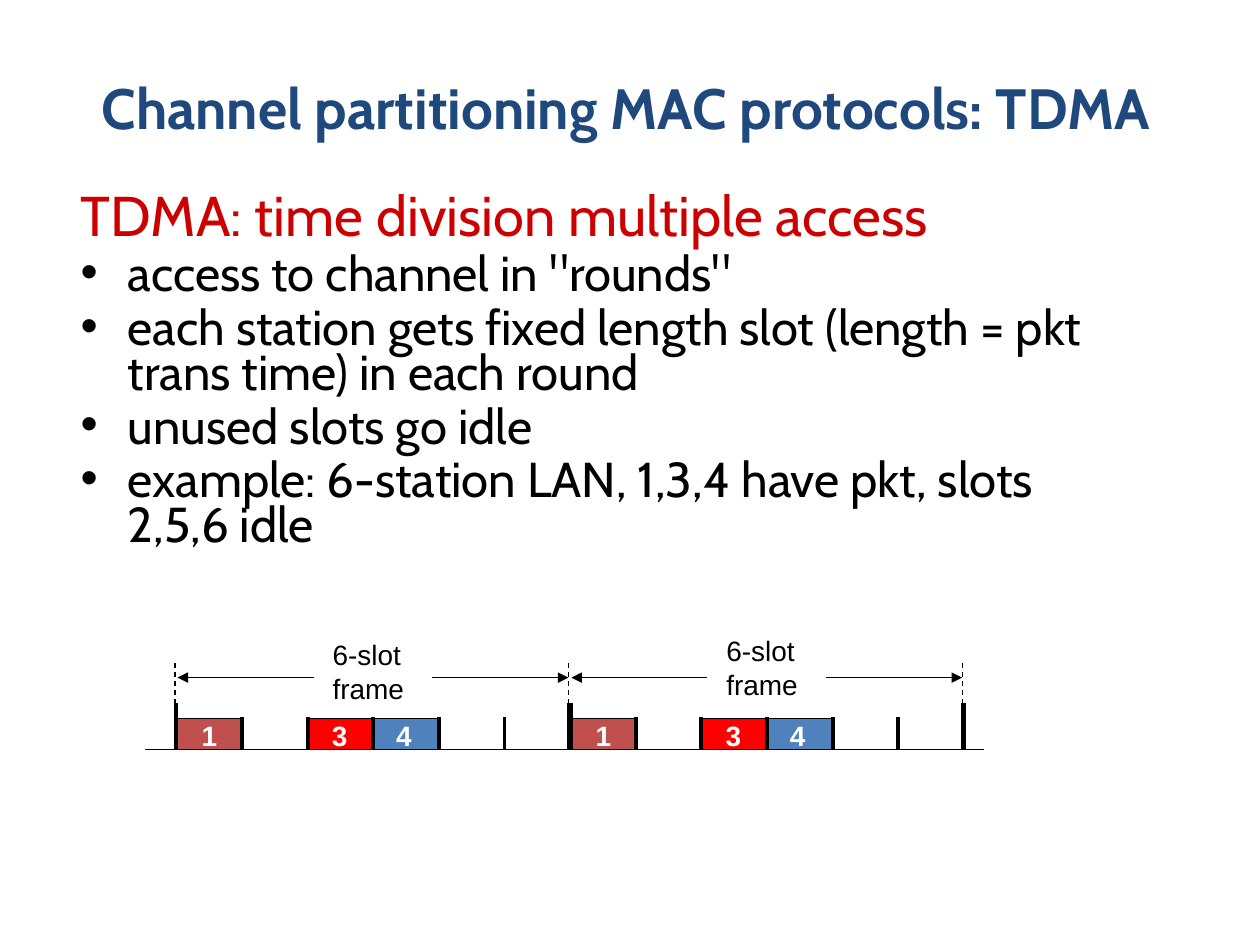
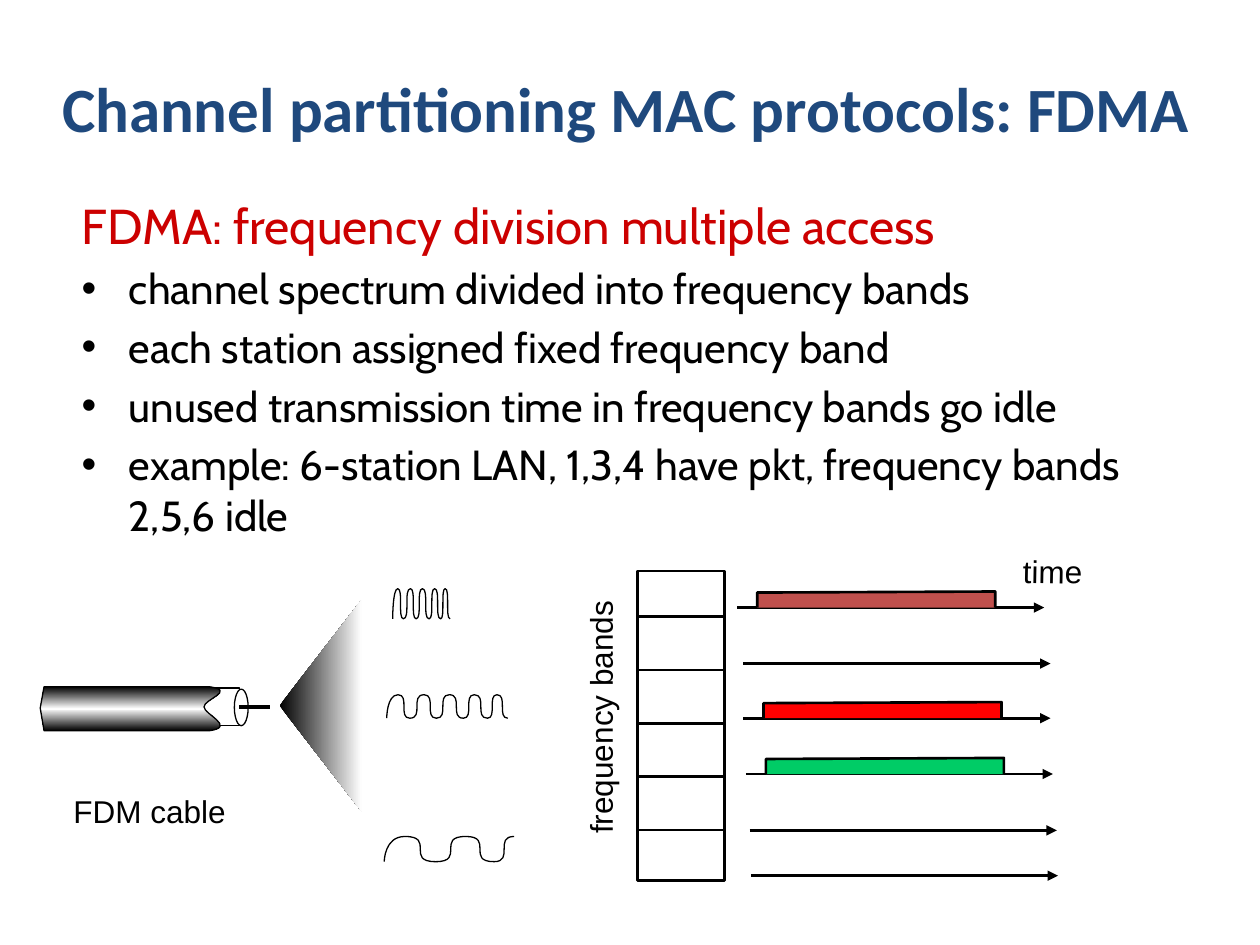
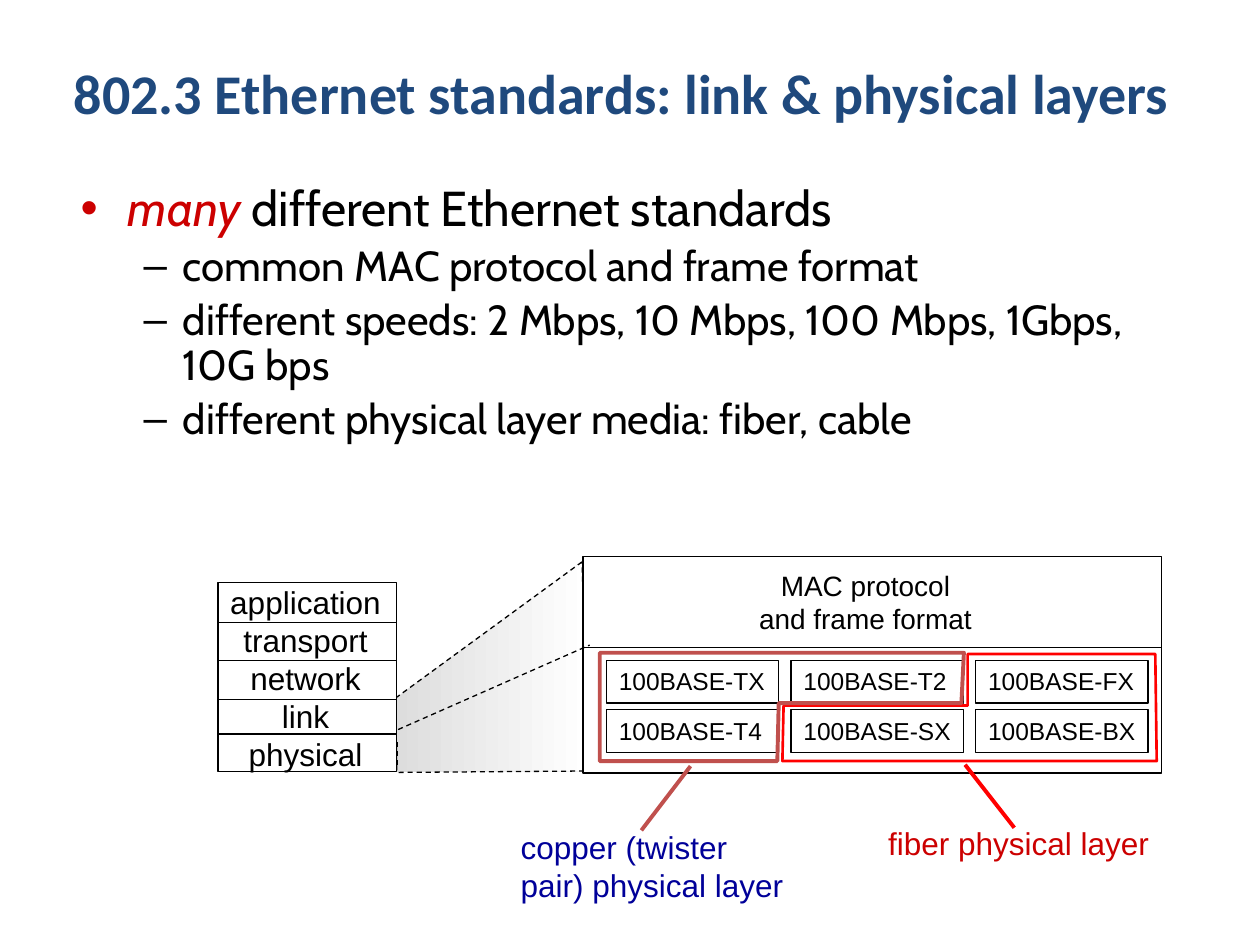
from copy import deepcopy

from lxml import etree
from pptx import Presentation
from pptx.dml.color import RGBColor
from pptx.enum.dml import MSO_LINE
from pptx.enum.shapes import MSO_CONNECTOR, MSO_SHAPE
from pptx.enum.text import MSO_ANCHOR, MSO_AUTO_SIZE, PP_ALIGN
from pptx.oxml.ns import qn
from pptx.util import Pt

STRAIGHT = MSO_CONNECTOR.STRAIGHT
RECTANGLE = MSO_SHAPE.RECTANGLE
OVAL = MSO_SHAPE.OVAL
LEFT = PP_ALIGN.LEFT
CENTER = PP_ALIGN.CENTER
MIDDLE = MSO_ANCHOR.MIDDLE
TOP = MSO_ANCHOR.TOP
FIT = MSO_AUTO_SIZE.SHAPE_TO_FIT_TEXT
FIXED = MSO_AUTO_SIZE.NONE
DASH = MSO_LINE.DASH

BLACK = "000000"
WHITE = "FFFFFF"
NAVY = "1F497D"
CRIMSON = "CC0000"
BRICK = "C0504D"
RED = "FF0000"
BLUE = "4F81BD"
GREEN = "00CC66"
INDIGO = "000099"
GRAY = "DDDDDD"


def style(shape, fill=(), line=BLACK, width=0.75, dash=None, arrow=False, angle=0):
    if hasattr(shape, "fill"):
        if not fill:
            shape.fill.background()
        elif isinstance(fill, str):
            shape.fill.solid()
            shape.fill.fore_color.rgb = RGBColor.from_string(fill)
        else:
            shape.fill.gradient()
            shape.fill.gradient_angle = angle
            stops = shape._element.spPr.find(qn("a:gradFill")).find(qn("a:gsLst"))
            for _ in fill[2:]:
                stops.append(deepcopy(stops[0]))
            for index, stop in enumerate(shape.fill.gradient_stops):
                stop.color.rgb = RGBColor.from_string(fill[index])
                stop.position = index / (len(fill) - 1)
    if line:
        shape.line.color.rgb = RGBColor.from_string(line)
        shape.line.width = Pt(width)
        if dash:
            shape.line.dash_style = dash
        if arrow:
            etree.SubElement(shape.line._get_or_add_ln(), qn("a:tailEnd"), type="triangle")
    else:
        shape.line.fill.background()
    etree.SubElement(shape._element.spPr, qn("a:effectLst"))


def write(box, text, size=16, font="Arial", color=BLACK, bold=False, italic=False,
          align=None, anchor=TOP, wrap=False, fit=FIT, bullet=None, indent=0,
          hang=0, spacing=None, before=None, same_line=False):
    frame = box.text_frame
    frame.word_wrap = wrap
    frame.auto_size = fit
    frame.vertical_anchor = anchor
    for line in text.split("\n"):
        para = frame.paragraphs[-1]
        if para.runs and not same_line:
            para = frame.add_paragraph()
        if not same_line:
            para.alignment = align
            para.line_spacing = spacing
            if before:
                para.space_before = Pt(before)
            if indent:
                properties = para._p.get_or_add_pPr()
                properties.set("marL", str(Pt(indent)))
                properties.set("indent", str(Pt(-hang)))
                if bullet:
                    etree.SubElement(properties, qn("a:buFont"), typeface="Arial")
                    etree.SubElement(properties, qn("a:buChar"), char=bullet)
        span = para.add_run()
        span.text = line
        span.font.size = Pt(size)
        span.font.name = font
        span.font.bold = bold
        span.font.italic = italic
        span.font.color.rgb = RGBColor.from_string(color)


deck = Presentation()
deck.slide_width = Pt(720)
deck.slide_height = Pt(540)

HEADING = dict(color=CRIMSON, indent=27, hang=27)
POINT = dict(bullet="•", indent=27, hang=27)
DETAIL = dict(bullet="–", indent=58.5, hang=22.5, size=24)
TITLE_AREA = (17.7, 16.3, 680, 90)
layouts = [
    ("Channel partitioning MAC protocols: TDMA", 32.4, "Cabin", TITLE_AREA,
     (39, 108.7, 612, 230.4), 0.75, 28, [
         ("TDMA: time division multiple access", HEADING | dict(size=32)),
         ('access to channel in "rounds"', POINT),
         ("each station gets fixed length slot (length = pkt trans time) in each round", POINT),
         ("unused slots go idle", POINT),
         ("example: 6-station LAN, 1,3,4 have pkt, slots 2,5,6 idle", POINT)]),
    ("Channel partitioning MAC protocols: FDMA", 36, "Calibri", TITLE_AREA,
     (39.6, 108, 647.3, 365.8), None, 24, [
         ("FDMA: frequency division multiple access", HEADING | dict(size=28)),
         ("channel spectrum divided into frequency bands", POINT),
         ("each station assigned fixed frequency band", POINT),
         ("unused transmission time in frequency bands go idle", POINT),
         ("example: 6-station LAN, 1,3,4 have pkt, frequency bands 2,5,6 idle", POINT)]),
    ("802.3 Ethernet standards: link & physical layers", 32, "Calibri", (12.2, 7.5, 686.2, 90),
     (39, 101.5, 612, 165.6), 0.9, 28, [
         ("many ", POINT | dict(color=CRIMSON, italic=True)),
         ("different Ethernet standards", dict(same_line=True)),
         ("common MAC protocol and frame format", DETAIL),
         ("different speeds: 2 Mbps, 10 Mbps, 100 Mbps, 1Gbps, 10G bps", DETAIL),
         ("different physical layer media: fiber, cable", DETAIL)]),
]
pages = []
for title, title_size, title_font, title_area, body_area, spacing, body_size, lines in layouts:
    page = deck.slides.add_slide(deck.slide_layouts[6])
    pages.append(page)
    box = page.shapes.add_textbox(*map(Pt, title_area))
    write(box, title, size=title_size, font=title_font, color=NAVY, bold=True,
          align=CENTER, anchor=MIDDLE, wrap=True, fit=FIXED)
    box = page.shapes.add_textbox(*map(Pt, body_area))
    for text, look in lines:
        look = dict(size=body_size) | look
        write(box, text, font="Cabin", wrap=True, fit=FIXED, spacing=spacing,
              before=look["size"] * 0.2, **look)

tdma, fdma, ethernet = pages

SLOT = 37.5
FRAME = 6 * SLOT
TIMELINE_LEFT = 100.8
TIMELINE_Y = 428.4
baseline = tdma.shapes.add_connector(STRAIGHT, *map(Pt, (82.8, TIMELINE_Y, 562.3, TIMELINE_Y)))
style(baseline)
for frame_left, label_top in ((TIMELINE_LEFT, 360.7), (TIMELINE_LEFT + FRAME, 358.6)):
    for station, color, shift in ((1, BRICK, 7.4), (3, RED, 6.8), (4, BLUE, 6)):
        left = frame_left + (station - 1) * SLOT
        packet = tdma.shapes.add_shape(RECTANGLE, *map(Pt, (left, 410.4, SLOT, 18)))
        style(packet, fill=color)
        box = tdma.shapes.add_textbox(*map(Pt, (left + shift, 407.2, 23, 26.6)))
        write(box, str(station), color=WHITE, bold=True)
    box = tdma.shapes.add_textbox(*map(Pt, (frame_left + 82.2, label_top, 55.4, 46)))
    write(box, "6-slot\nframe")
    for start, end in ((146, 224), (78.5, 0.7)):
        arrow = tdma.shapes.add_connector(
            STRAIGHT, *map(Pt, (frame_left + start, 387.2, frame_left + end, 387.2)))
        style(arrow, arrow=True)
for slot in range(13):
    left = TIMELINE_LEFT + slot * SLOT
    edge = slot % 6 == 0
    tick = tdma.shapes.add_connector(
        STRAIGHT, *map(Pt, (left, 402 if edge else 410, left, TIMELINE_Y)))
    style(tick, width=3 if edge and slot else 2.25)
    if edge:
        guide = tdma.shapes.add_connector(STRAIGHT, *map(Pt, (left - 0.8, 379, left - 0.8, 403)))
        style(guide, dash=DASH)

spectrum = fdma.shapes.add_shape(RECTANGLE, *map(Pt, (364.3, 326.2, 49.7, 177.1)))
style(spectrum, fill=WHITE, width=1.5)
for band in range(5):
    top = 352.4 + 30.5 * band
    divider = fdma.shapes.add_connector(STRAIGHT, *map(Pt, (364.3, top, 414, top)))
    style(divider, width=1.5)

band_signals = [(421.2, 347.2, BRICK), (424.8, 379.2, None), (424.8, 410.4, RED),
                (426.2, 442.3, GREEN), (428.4, 474.5, None), (429.1, 500.4, None)]
for left, axis, color in band_signals:
    arrow = fdma.shapes.add_connector(STRAIGHT, *map(Pt, (left, axis, left + 175.5, axis)))
    style(arrow, width=1.5, arrow=True)
    if color:
        start, end = left + 11.5, left + 147.5
        builder = fdma.shapes.build_freeform(Pt(start), Pt(axis))
        builder.add_line_segments(
            [(Pt(x), Pt(y)) for x, y in
             ((start, axis - 8.6), (end, axis - 9.2), (end, axis))], close=False)
        style(builder.convert_to_shape(), fill=color, width=1.5)

for text, area, turn in (("frequency bands", (269.3, 395.3, 147.6, 28.8), 270),
                         ("time", (577.4, 312, 48.2, 28.8), 1.1),
                         ("FDM cable", (34.9, 448.9, 101.5, 28.8), 0)):
    box = fdma.shapes.add_textbox(*map(Pt, area))
    box.rotation = turn
    write(box, text, size=18)

conductor = fdma.shapes.add_shape(RECTANGLE, *map(Pt, (115.9, 393.1, 20.9, 21.6)))
style(conductor, fill=WHITE)

fan = [(206.6, 342.7), (159.8, 403.2), (206.6, 463.7)]
sheath = [(119.5, 417.6), (135.4, 415.4), (116.6, 408.2), (116.6, 403.9),
          (116.6, 399.6), (135.4, 394.6), (119.5, 392.4),
          (25.2, 392.4), (23, 404.6), (25.2, 417.6)]
curves = [(fan, 0, True, dict(fill=(BLACK, WHITE), line=None)),
          (sheath, 2, True, dict(fill=(BLACK, WHITE, BLACK), angle=90))]
for crest, trough, turns in (
        (336.4, 353.6, (224.4, 227.3, 230.5, 234.6, 237.8, 241.4, 245.2, 248.4, 251.8, 254.4, 257.2)),
        (397, 410.4, (221, 227.5, 234.2, 242.4, 249.4, 256.8, 264.8, 271, 278.6, 284, 290.2)),
        (478, 492.4, (219.6, 231.4, 249, 266.2, 282.4, 293.8))):
    levels = (trough, crest)
    wave = [(turns[0], trough)]
    for half in range(len(turns) - 1):
        start, end = turns[half:half + 2]
        before, after = levels[half % 2], levels[(half + 1) % 2]
        wave += [(end if half else start, before), (start, after), (end, after)]
    curves.append((wave, len(turns) - 1, False, {}))

for outline, bends, closed, look in curves:
    corners = [(Pt(x), Pt(y)) for x, y in outline]
    builder = fdma.shapes.build_freeform(*corners[0])
    builder.add_line_segments(corners[1:], close=closed)
    shape = builder.convert_to_shape()
    segments = list(shape._element.spPr.iter(qn("a:lnTo")))
    for bend in range(bends):
        first, *others = segments[3 * bend:3 * bend + 3]
        curve = etree.Element(qn("a:cubicBezTo"))
        first.addprevious(curve)
        for segment in (first, *others):
            curve.append(segment[0])
            segment.getparent().remove(segment)
    style(shape, **look)

opening = fdma.shapes.add_shape(OVAL, *map(Pt, (133.9, 393.8, 7.9, 20.9)))
style(opening, fill=WHITE)
core = fdma.shapes.add_connector(STRAIGHT, *map(Pt, (136.8, 403.9, 154.1, 403.9)))
style(core, width=2.25)

funnel = [(332.6, 321.1), (226.1, 398.9), (226.8, 441.4), (336.2, 440.6)]
corners = [(Pt(x), Pt(y)) for x, y in funnel]
builder = ethernet.shapes.build_freeform(*corners[0])
builder.add_line_segments(corners[1:], close=True)
style(builder.convert_to_shape(), fill=(GRAY, WHITE), dash=DASH)

for area in ((124.6, 333, 102.2, 108), (333.2, 318.2, 330.5, 123.5)):
    panel = ethernet.shapes.add_shape(RECTANGLE, *map(Pt, area))
    style(panel, fill=WHITE)
for text, area, size in (
        ("application\ntransport\nnetwork\nlink\nphysical", (124.2, 329.8, 100.8, 115.2), 18),
        ("MAC protocol\nand frame format", (426.2, 321.1, 136.8, 46), 16)):
    box = ethernet.shapes.add_textbox(*map(Pt, area))
    write(box, text, size=size, align=CENTER)
for left, right, y in ((124.6, 226.8, 355.7), (124.6, 226.8, 377.3), (124.6, 226.8, 399.6),
                       (124.6, 226.8, 419.4), (333.8, 663.4, 370.2)):
    divider = ethernet.shapes.add_connector(STRAIGHT, *map(Pt, (left, y, right, y)))
    style(divider)
for ends in ((124.6, 425.5, 124.6, 439.2), (226.8, 424, 226.8, 437.8),
             (227.5, 416.9, 337, 368.6)):
    guide = ethernet.shapes.add_connector(STRAIGHT, *map(Pt, ends))
    style(guide, dash=DASH)

for row, names in enumerate((("TX", "T2", "FX"), ("T4", "SX", "BX"))):
    for column, name in enumerate(names):
        area = (346.5 + 105.5 * column, 377.3 + 28.2 * row, 98.5, 24.5)
        medium = ethernet.shapes.add_shape(RECTANGLE, *map(Pt, area))
        style(medium)
        write(medium, "100BASE-" + name, size=14, align=LEFT)

fiber = [(553, 373.7), (553, 403.2), (447.8, 403.2), (447.1, 434.9), (661, 434.9),
         (660.2, 373.7)]
copper = [(550.8, 373), (549.4, 401.8), (445, 401.8), (444.2, 434.9), (342.7, 434.9),
          (342.7, 373)]
for outline, color, width, pointer, text, area, text_color in (
        (fiber, RED, 1.5, (551.5, 437, 579.6, 473), "fiber physical layer",
         (500.4, 467.6, 164.9, 28.8), CRIMSON),
        (copper, BRICK, 2.25, (394.6, 437.8, 366.5, 474.5),
         "copper (twister\npair) physical layer", (290.4, 469.7, 166.3, 51.1), INDIGO)):
    corners = [(Pt(x), Pt(y)) for x, y in outline]
    builder = ethernet.shapes.build_freeform(*corners[0])
    builder.add_line_segments(corners[1:], close=True)
    style(builder.convert_to_shape(), line=color, width=width)
    leader = ethernet.shapes.add_connector(STRAIGHT, *map(Pt, pointer))
    style(leader, line=color, width=2.25)
    box = ethernet.shapes.add_textbox(*map(Pt, area))
    write(box, text, size=18, color=text_color)

deck.save("out.pptx")
